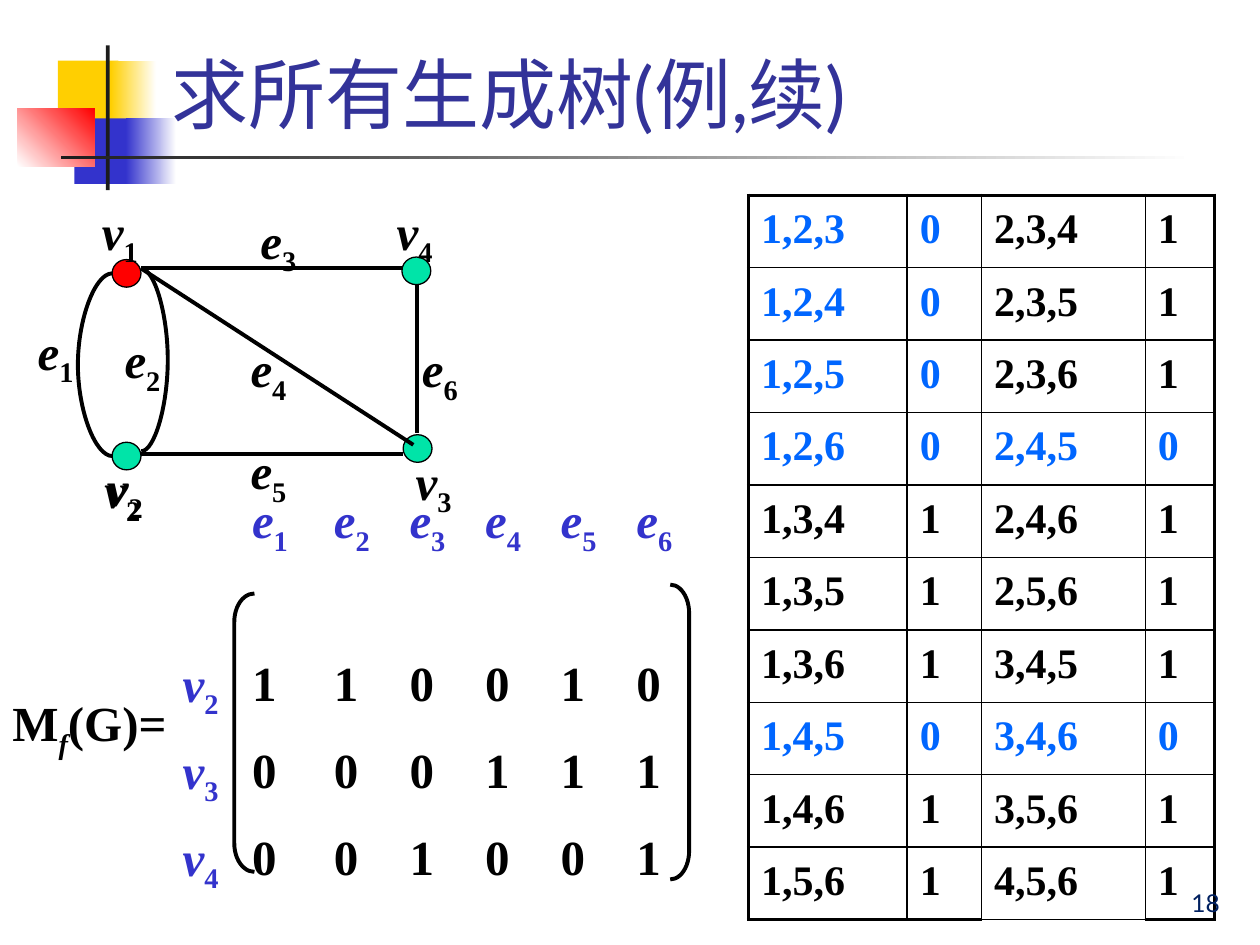
from dataclasses import dataclass

from lxml import etree
from pptx import Presentation
from pptx.dml.color import RGBColor
from pptx.enum.shapes import MSO_CONNECTOR, MSO_SHAPE
from pptx.enum.text import MSO_ANCHOR, MSO_AUTO_SIZE, PP_ALIGN
from pptx.oxml.ns import qn
from pptx.util import Pt

RECTANGLE, OVAL = MSO_SHAPE.RECTANGLE, MSO_SHAPE.OVAL
LEFT_BRACKET, RIGHT_BRACKET = MSO_SHAPE.LEFT_BRACKET, MSO_SHAPE.RIGHT_BRACKET
STRAIGHT, CURVE = MSO_CONNECTOR.STRAIGHT, MSO_CONNECTOR.CURVE
BOTTOM, RIGHT = MSO_ANCHOR.BOTTOM, PP_ALIGN.RIGHT
FIT_SHAPE = MSO_AUTO_SIZE.SHAPE_TO_FIT_TEXT

SERIF, SANS = "Times New Roman", "Lato"
BLACK, WHITE, BLUE, GREEN = "000000", "FFFFFF", "3333CC", "00E4A8"
YELLOW, RED, DARK, HIGHLIGHT = "FFCF01", "FF0000", "1C1C1C", "0066FF"
NO_STYLE = "{2D5ABB26-0587-4C30-8999-92F81FD0307C}"
THICK, THIN = 2.25, 1
CURVE_WIDTH = 0.13


@dataclass
class Block:
    left: float
    top: float
    width: float
    height: float
    colors: tuple
    angle: float = 0


@dataclass
class Node:
    left: float
    top: float
    color: str = GREEN


@dataclass
class Edge:
    x1: float
    y1: float
    x2: float
    y2: float
    bulge: float = 0


@dataclass
class Label:
    letter: str
    index: str
    left: float
    top: float


BLOCKS = [
    Block(33.1, 34.6, 34.6, 37.4, (YELLOW,)),
    Block(63.4, 34.6, 25.9, 37.4, (YELLOW, WHITE)),
    Block(42.5, 67.7, 33.1, 37.4, (BLUE,)),
    Block(72, 67.7, 28.8, 37.4, (BLUE, WHITE)),
    Block(10.1, 61.9, 43.9, 33.1, (WHITE, RED), 45),
    Block(60.5, 25.9, 2.2, 82.8, (DARK,)),
    Block(34.6, 88.9, 648, 2.2, (DARK, WHITE)),
]
NODES = [Node(64.1, 148.3, RED), Node(229.7, 146.9), Node(230.4, 248.4), Node(64.1, 252.7)]
EDGES = [
    Edge(80.6, 153.4, 230.4, 153.4),
    Edge(238.3, 162.7, 238.3, 247.7),
    Edge(80.6, 259.2, 230.4, 259.2),
    Edge(64.1, 156.2, 64.1, 260.6, -18),
    Edge(80.6, 153.4, 80.6, 257.8, 14),
    Edge(80.6, 153.4, 236.2, 254.2),
]
LABELS = [
    Label("v", "2", 52.6, 259.2), Label("e", "1", 14.4, 180),
    Label("e", "2", 64.1, 185), Label("e", "3", 141.8, 116.6),
    Label("e", "4", 136.1, 190.1), Label("e", "5", 136.1, 248.4),
    Label("e", "6", 234, 190.1), Label("v", "1", 51.1, 111.6),
    Label("v", "4", 219.6, 111.6), Label("v", "3", 230.4, 254.2),
    Label("v", "2", 54, 257.8),
]
MATRIX = {"2": "110010", "3": "000111", "4": "001001"}
# Edge triples with their determinant; the two halves stand side by side
TREES = [
    ("1,2,3", "0", "2,3,4", "1"), ("1,2,4", "0", "2,3,5", "1"),
    ("1,2,5", "0", "2,3,6", "1"), ("1,2,6", "0", "2,4,5", "0"),
    ("1,3,4", "1", "2,4,6", "1"), ("1,3,5", "1", "2,5,6", "1"),
    ("1,3,6", "1", "3,4,5", "1"), ("1,4,5", "0", "3,4,6", "0"),
    ("1,4,6", "1", "3,5,6", "1"), ("1,5,6", "1", "4,5,6", "1"),
]


def rgb(value: str) -> RGBColor:
    return RGBColor.from_string(value)


def add_run(paragraph, text: str, size: float, color: str = BLACK, font: str = SERIF,
            bold: bool = True, italic: bool = False, subscript: bool = False) -> None:
    run = paragraph.add_run()
    run.text = text
    run.font.size, run.font.name = Pt(size), font
    run.font.bold, run.font.italic = bold, italic
    run.font.color.rgb = rgb(color)
    properties = run.font._element
    etree.SubElement(properties, qn("a:ea")).set("typeface", font)
    if subscript:
        properties.set("baseline", "-25000")


def add_symbol(paragraph, letter: str, index: str, color: str = BLACK) -> None:
    add_run(paragraph, letter, 28, color, italic=True)
    add_run(paragraph, index, 28, color, subscript=True)


def add_text_box(shapes, left: float, top: float, width: float, height: float,
                 wrap: bool = False):
    box = shapes.add_textbox(Pt(left), Pt(top), Pt(width), Pt(height))
    frame = box.text_frame
    frame.word_wrap = wrap
    if wrap:
        frame.vertical_anchor = BOTTOM
    else:
        frame.auto_size = FIT_SHAPE
    return frame.paragraphs[0]


def add_shape(shapes, kind, left: float, top: float, width: float, height: float,
              line: float = 0):
    shape = shapes.add_shape(kind, Pt(left), Pt(top), Pt(width), Pt(height))
    shape.shadow.inherit = False
    if line:
        shape.line.color.rgb = rgb(BLACK)
        shape.line.width = Pt(line)
    else:
        shape.line.fill.background()
    return shape


def add_block(shapes, block: Block) -> None:
    shape = add_shape(shapes, RECTANGLE, block.left, block.top, block.width, block.height)
    if len(block.colors) == 1:
        shape.fill.solid()
        shape.fill.fore_color.rgb = rgb(block.colors[0])
        return
    shape.fill.gradient()
    shape.fill.gradient_angle = block.angle
    for stop, color in zip(shape.fill.gradient_stops, block.colors):
        stop.color.rgb = rgb(color)


def add_edge(shapes, edge: Edge) -> None:
    if edge.bulge:
        # Half a turn plus both flips; the bulge is a multiple of the tiny width
        connector = shapes.add_connector(CURVE, Pt(edge.x1 + CURVE_WIDTH), Pt(edge.y2),
                                         Pt(edge.x1), Pt(edge.y1))
        properties = connector._element.spPr
        properties.find(qn("a:xfrm")).set("rot", "10800000")
        guides = properties.find(qn("a:prstGeom")).find(qn("a:avLst"))
        guide = etree.SubElement(guides, qn("a:gd"))
        guide.set("name", "adj1")
        guide.set("fmla", f"val {round(edge.bulge / CURVE_WIDTH * 100000)}")
    else:
        connector = shapes.add_connector(STRAIGHT, Pt(edge.x1), Pt(edge.y1),
                                         Pt(edge.x2), Pt(edge.y2))
    connector.line.color.rgb = rgb(BLACK)
    connector.line.width = Pt(THICK)
    etree.SubElement(connector._element.spPr, qn("a:effectLst"))


def add_plain_table(shapes, left: float, top: float, widths: list, heights: list):
    frame = shapes.add_table(len(heights), len(widths), Pt(left), Pt(top),
                             Pt(sum(widths)), Pt(sum(heights)))
    table = frame.table
    table.first_row = table.horz_banding = False
    table._tbl.tblPr.find(qn("a:tableStyleId")).text = NO_STYLE
    for column, width in zip(table.columns, widths):
        column.width = Pt(width)
    for row, height in zip(table.rows, heights):
        row.height = Pt(height)
    for cell in table.iter_cells():
        cell.text_frame.paragraphs[0].line_spacing = 1.1
    return table


def add_borders(cell, widths: dict) -> None:
    properties = cell._tc.get_or_add_tcPr()
    for side, width in widths.items():
        line = etree.SubElement(properties, qn(f"a:ln{side}"))
        line.set("w", str(Pt(width)))
        fill = etree.SubElement(line, qn("a:solidFill"))
        etree.SubElement(fill, qn("a:srgbClr")).set("val", BLACK)


def add_matrix(shapes) -> None:
    table = add_plain_table(shapes, 97.2, 275.8, [39.6, 46.8] + [43.2] * 5,
                            [49.7, 43.9] + [49.7] * 3)
    for cell in table.iter_cells():
        cell.fill.background()
    for column in range(1, 7):
        add_symbol(table.cell(0, column).text_frame.paragraphs[0], "e", str(column), BLUE)
    for row, (vertex, values) in enumerate(MATRIX.items(), start=2):
        add_symbol(table.cell(row, 0).text_frame.paragraphs[0], "v", vertex, BLUE)
        for column, value in enumerate(values, start=1):
            add_run(table.cell(row, column).text_frame.paragraphs[0], value, 28)


def add_tree_table(shapes) -> None:
    table = add_plain_table(shapes, 427.7, 111.6, [90.7, 42.5, 93.6, 39.6], [41.4] * 10)
    last = len(TREES) - 1
    for row, values in enumerate(TREES):
        for column, value in enumerate(values):
            cell = table.cell(row, column)
            add_borders(cell, {
                "L": THICK if column == 0 else THIN,
                "R": THICK if column == 3 else THIN,
                "T": THICK if row == 0 else THIN,
                "B": THICK if row == last and column != 2 else THIN,
            })
            cell.fill.background()
            determinant = values[column // 2 * 2 + 1]
            color = HIGHLIGHT if determinant == "0" else BLACK
            add_run(cell.text_frame.paragraphs[0], value, 24, color)


def main() -> None:
    presentation = Presentation()
    presentation.slide_width, presentation.slide_height = Pt(720), Pt(540)
    slide = presentation.slides.add_slide(presentation.slide_layouts[6])
    shapes = slide.shapes

    # Ornament and title
    for block in BLOCKS:
        add_block(shapes, block)
    title = add_text_box(shapes, 90.7, 5.8, 613.4, 77, wrap=True)
    add_run(title, "求所有生成树(例,续)", 44, "333399", SANS, bold=False)

    # Graph
    graph = shapes.add_group_shape().shapes
    for node in NODES:
        oval = add_shape(graph, OVAL, node.left, node.top, 16.5, 15.8, line=0.75)
        oval.fill.solid()
        oval.fill.fore_color.rgb = rgb(node.color)
    for edge in EDGES:
        add_edge(graph, edge)
    for label in LABELS:
        paragraph = add_text_box(graph, label.left, label.top, 36, 41)
        add_symbol(paragraph, label.letter, label.index)

    # Incidence matrix with brackets
    add_matrix(shapes)
    brackets = shapes.add_group_shape().shapes
    for kind, left, top, width, height, curve in (
            (LEFT_BRACKET, 133.9, 339.1, 11.5, 159.1, 1.41),
            (RIGHT_BRACKET, 383, 334.1, 10.8, 168.5, 1.51)):
        bracket = add_shape(brackets, kind, left, top, width, height, line=THICK)
        bracket.fill.background()
        bracket.adjustments[0] = curve
    name = add_text_box(shapes, 0, 392.4, 103.7, 41)
    add_run(name, "M", 28)
    add_run(name, "f", 28, italic=True, subscript=True)
    add_run(name, "(G)=", 28)

    # Determinants and slide number
    add_tree_table(shapes)
    number = add_text_box(shapes, 554.4, 491.8, 149.8, 36, wrap=True)
    number.alignment = RIGHT
    add_run(number, "18", 14, "002060", SANS, bold=False)

    presentation.save("out.pptx")


if __name__ == "__main__":
    main()
